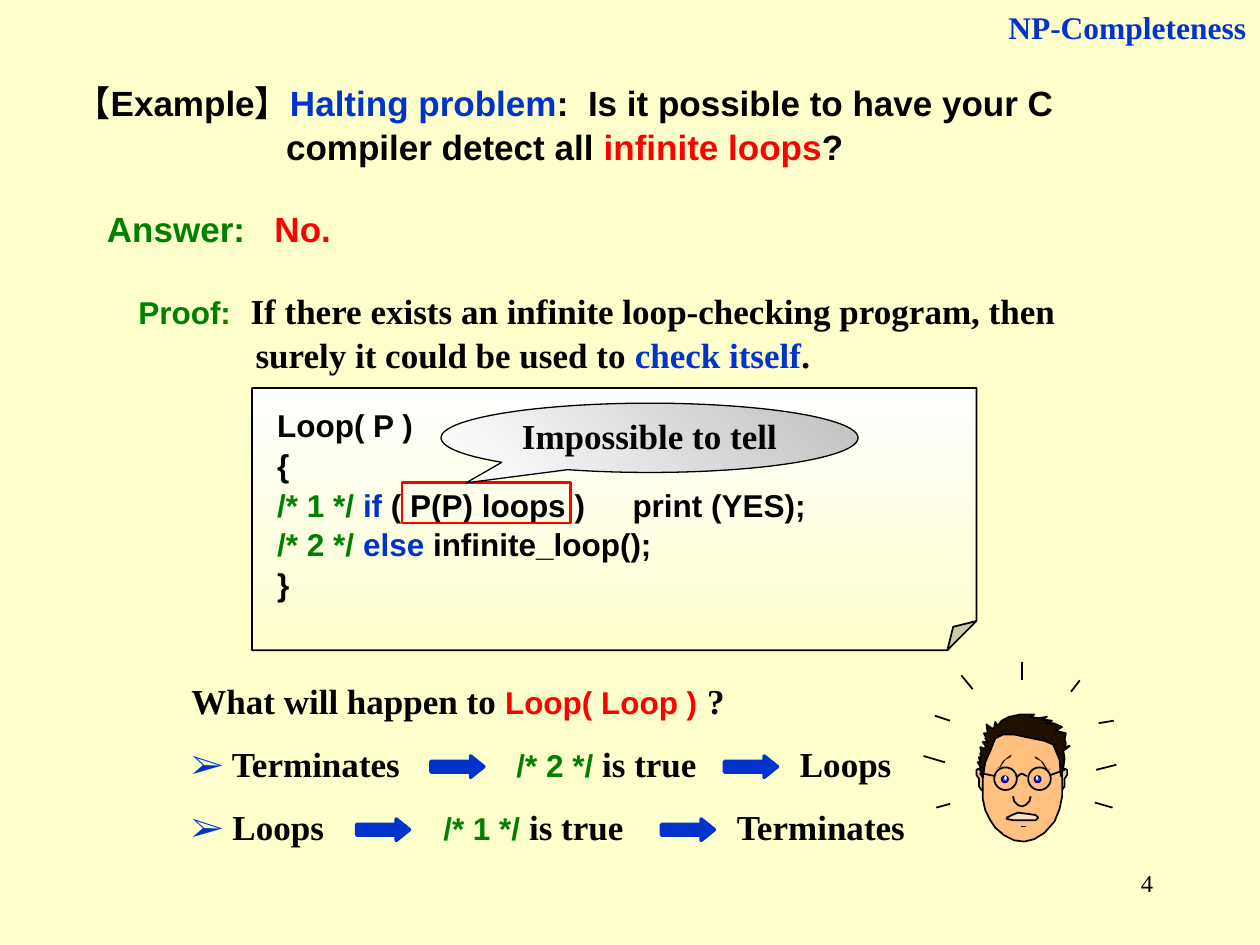
"""Build the slide on the halting problem, at 100 px to the inch."""
import lxml.etree
import pptx
import pptx.dml.color
import pptx.enum.shapes
import pptx.enum.text
import pptx.oxml.ns
import pptx.util

PX = 9144
COLORS = {"black": "000000", "blue": "0033CC", "red": "FF0000", "green": "008000",
          "cream": "FFFFCC", "white": "FFFFFF", "silver": "C0C0C0", "skin": "FFC080",
          "lip": "FFE0C0", "hair": "201000", "iris": "4040FF", "navy": "000080"}
RGB = {name: pptx.dml.color.RGBColor.from_string(code) for name, code in COLORS.items()}
HEADING, CODE, PROSE = ("Arial", 20), ("Arial", 18), ("Times New Roman", 20)
TOPIC, FOLIO = ("Times New Roman", 18), ("Times New Roman", 14)
SHAPES = pptx.enum.shapes.MSO_SHAPE
ALIGN = pptx.enum.text.PP_ALIGN
ANCHOR = pptx.enum.text.MSO_ANCHOR


def write(paragraph, runs, hanging=0, bold=True):
    paragraph.line_spacing = 1.05
    paragraph.font.bold = bold
    if hanging:
        properties = paragraph._p.get_or_add_pPr()
        properties.set("marL", str(hanging * PX))
        properties.set("indent", str(-hanging * PX))
    uniform = len({run[1:] for run in runs}) == 1
    for words, color, (typeface, size) in runs:
        run = paragraph.add_run()
        run.text = words
        font = paragraph.font if uniform else run.font
        font.name, font.size = typeface, pptx.util.Pt(size)
        font.color.rgb = RGB[color]


def paint(shape, fill=None, line="black", width=1, angle=0):
    shape.shadow.inherit = False
    if isinstance(fill, tuple):
        shape.fill.gradient()
        shape.fill.gradient_angle = angle
        for stop, color in zip(shape.fill.gradient_stops, fill):
            stop.color.rgb = RGB[color]
    elif fill:
        shape.fill.solid()
        shape.fill.fore_color.rgb = RGB[fill]
    else:
        shape.fill.background()
    if line:
        shape.line.color.rgb = RGB[line]
        shape.line.width = pptx.util.Pt(width)
    else:
        shape.line.fill.background()


deck = pptx.Presentation()
deck.slide_width, deck.slide_height = 1000 * PX, 750 * PX
slide = deck.slides.add_slide(deck.slide_layouts[5])
slide.background.fill.solid()
slide.background.fill.fore_color.rgb = RGB["cream"]
parts = slide.shapes

question = parts.title
question.left, question.top, question.width, question.height = 50 * PX, 58 * PX, 900 * PX, 77 * PX
question.text_frame.auto_size = pptx.enum.text.MSO_AUTO_SIZE.NONE
question.text_frame.vertical_anchor = ANCHOR.TOP
question.text_frame.paragraphs[0].alignment = ALIGN.LEFT
write(question.text_frame.paragraphs[0], [
    ("【Example】", "black", HEADING), ("Halting problem", "blue", HEADING),
    (":  Is it possible to have your C compiler detect all ", "black", HEADING),
    ("infinite loops", "red", HEADING), ("?", "black", HEADING)], hanging=167)

program = parts.add_shape(SHAPES.FOLDED_CORNER, 200 * PX, 308 * PX, 575 * PX, 208 * PX)
fold = program._element.spPr.find(".//" + pptx.oxml.ns.qn("a:avLst"))
lxml.etree.SubElement(fold, pptx.oxml.ns.qn("a:gd"), name="adj", fmla="val 11100")
paint(program, ("white", "cream"), angle=270)
listing = program.text_frame
listing.word_wrap = True
listing.vertical_anchor = ANCHOR.TOP
listing.margin_left, listing.margin_top = 20 * PX, 13 * PX
listing.margin_right, listing.margin_bottom = 4 * PX, 5 * PX
code_lines = [
    [("Loop( P )", "black", CODE)],
    [("{", "black", CODE)],
    [("/* 1 */ ", "green", CODE), ("if", "blue", CODE),
     (" ( P(P) loops )\tprint (YES);", "black", CODE)],
    [("/* 2 */ ", "green", CODE), ("else", "blue", CODE), (" infinite_loop();", "black", CODE)],
    [("}", "black", CODE)]]
for number, runs in enumerate(code_lines):
    statement = listing.add_paragraph() if number else listing.paragraphs[0]
    statement.alignment = ALIGN.LEFT
    write(statement, runs, hanging=32)

passages = [
    (75, 158, 158, 43, [("Answer:", "green", HEADING)], {}),
    (208, 158, 65, 43, [("No.", "red", HEADING)], {}),
    (100, 223, 800, 77, [
        ("Proof:", "green", CODE), ("  ", "green", HEADING),
        ("If there exists an infinite loop-checking program, then surely it could be used to ",
         "black", PROSE),
        ("check itself", "blue", PROSE), (".", "black", PROSE)], {"hanging": 93}),
    (142, 533, 475, 43, [
        ("What will happen to ", "black", PROSE), ("Loop( Loop )", "red", CODE),
        (" ", "black", HEADING), ("?", "black", PROSE)], {}),
    (703, 0, 296, 40, [("NP-Completeness", "blue", TOPIC)], {}),
    (717, 683, 208, 50, [("4", "black", FOLIO)], {"bold": False})]

cases = [(583, "Terminates", 342, "/* 2 */ ", 400, 575, "Loops", 625),
         (633, "Loops", 283, "/* 1 */ ", 342, 525, "Terminates", 575)]
for top, premise, first_arrow, branch, branch_left, second_arrow, outcome, outcome_left in cases:
    passages += [
        (142, top, 208, 43, [("➢", "blue", PROSE), (f" {premise}", "black", PROSE)], {}),
        (branch_left, top, 183, 43, [(branch, "green", CODE), ("is true", "black", PROSE)], {}),
        (outcome_left, top, 167, 43, [(outcome, "black", PROSE)], {})]
    for left in (first_arrow, second_arrow):
        implies = parts.add_shape(SHAPES.RIGHT_ARROW, left * PX, (top + 17) * PX, 42 * PX, 17 * PX)
        implies.adjustments[0], implies.adjustments[1] = 0.5, 0.62
        paint(implies, "blue", "blue", 2)

for left, top, width, height, runs, options in passages:
    passage = parts.add_textbox(left * PX, top * PX, width * PX, height * PX)
    passage.text_frame.word_wrap = True
    paragraph = passage.text_frame.paragraphs[0]
    paragraph.alignment = ALIGN.RIGHT if left > 700 else ALIGN.LEFT
    write(paragraph, runs, **options)

left_ear = [(781, 611), (777, 610), (775, 611), (775, 615), (777, 618), (777, 624),
            (779, 627), (781, 628)]
right_ear = [(1622 - x, y) for x, y in left_ear]
face = [(786, 590), (782, 602), (780, 618), (780, 634), (782, 643), (786, 651), (790, 657),
        (797, 663), (805, 667), (813, 668), (821, 666), (829, 661), (837, 652), (841, 642),
        (843, 632), (843, 617), (842, 603), (839, 594), (834, 586), (826, 580), (818, 577),
        (812, 575), (803, 577), (795, 581), (789, 587)]
lips = [(799, 649), (803, 647), (808, 645), (816, 646), (822, 647), (824, 649), (822, 651),
        (804, 651), (799, 650)]
hair = [(780, 617), (778, 614), (780, 614), (777, 610), (779, 610), (776, 605), (778, 605),
        (777, 601), (779, 602), (778, 598), (779, 597), (778, 593), (781, 594), (783, 593),
        (780, 589), (784, 589), (782, 586), (783, 586), (781, 582), (784, 582), (783, 575),
        (787, 578), (789, 578), (790, 573), (792, 576), (795, 572), (801, 569), (810, 567),
        (821, 567), (818, 569), (824, 570), (831, 569), (827, 571), (835, 572), (831, 574),
        (836, 574), (843, 577), (838, 580), (846, 582), (845, 587), (846, 590), (845, 593),
        (849, 592), (844, 596), (845, 602), (844, 609), (842, 616), (841, 603), (836, 591),
        (829, 588), (819, 586), (805, 583), (796, 583), (790, 586), (786, 596), (782, 605)]
smile = [(818, 632), (817, 636), (814, 639), (811, 640), (808, 639), (805, 636), (804, 632)]
left_brow = [(801, 600), (796, 604), (793, 609), (790, 610), (794, 609), (798, 603),
             (802, 601), (803, 599)]
right_brow = [(1624 - x, y + 1) for x, y in left_brow]
bridge = [(807, 617), (809, 615), (811, 614), (813, 615), (815, 616)]
chin = [(810, 656), (814, 656)]
outlines = [(left_ear, "skin", "black"), (right_ear, "skin", "black"), (face, "skin", "black"),
            (lips, "lip", "black"), (hair, "hair", "black"), (smile, None, "black"),
            (left_brow, "hair", None), (right_brow, "hair", None), (bridge, None, "black"),
            (chin, None, "black")]
for points, fill, line in outlines:
    builder = parts.build_freeform(*points[0], scale=PX)
    builder.add_line_segments(points[1:], close=fill is not None)
    paint(builder.convert_to_shape(), fill, line)

rounds = [(795, 616, 5, 5, "iris", "navy"), (797, 616, 2, 3, "white", None),
          (821, 616, 5, 5, "iris", "navy"), (822, 616, 2, 3, "white", None),
          (816, 609, 18, 18, None, "black"), (789, 609, 18, 18, None, "black")]
for left, top, width, height, fill, line in rounds:
    paint(parts.add_shape(SHAPES.OVAL, left * PX, top * PX, width * PX, height * PX), fill, line)

temples = [(780, 614, 790, 616), (834, 615, 845, 611)]
rays = [(733, 600, 750, 605), (870, 611, 886, 607), (763, 536, 772, 547),
        (857, 540, 850, 549), (811, 525, 811, 540), (742, 568, 754, 572),
        (884, 572, 872, 574), (754, 638, 743, 641), (869, 637, 883, 641)]
for ends in temples + rays:
    stroke = parts.add_connector(pptx.enum.shapes.MSO_CONNECTOR.STRAIGHT, *(end * PX for end in ends))
    stroke.line.color.rgb = RGB["black"]
    stroke.line.width = pptx.util.Pt(1)
    lxml.etree.SubElement(stroke._element.spPr, pptx.oxml.ns.qn("a:effectLst"))

condition = parts.add_shape(SHAPES.RECTANGLE, 319 * PX, 383 * PX, 134 * PX, 32 * PX)
paint(condition, None, "red", 1.5)

verdict = parts.add_shape(SHAPES.OVAL_CALLOUT, 350 * PX, 320 * PX, 331 * PX, 55 * PX)
verdict.adjustments[0], verdict.adjustments[1] = -0.44, 0.65
paint(verdict, ("white", "silver"), width=0.75, angle=45)
verdict.text_frame.word_wrap = False
verdict.text_frame.margin_top = 0
verdict.text_frame.vertical_anchor = ANCHOR.MIDDLE
verdict.text_frame.paragraphs[0].alignment = ALIGN.CENTER
write(verdict.text_frame.paragraphs[0], [("Impossible to tell", "black", PROSE)])

deck.save("out.pptx")
